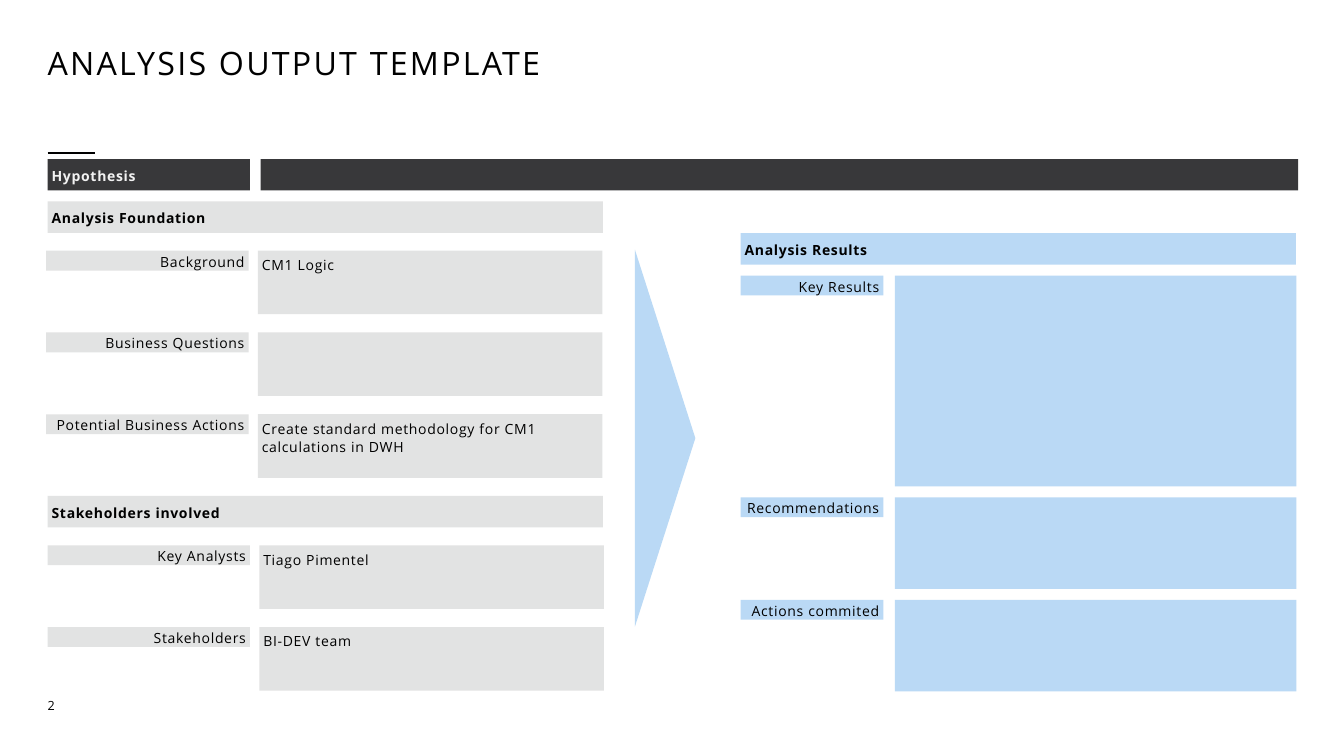
from dataclasses import dataclass

from lxml import etree
from pptx import Presentation
from pptx.dml.color import RGBColor
from pptx.enum.shapes import MSO_CONNECTOR, MSO_SHAPE
from pptx.enum.text import MSO_ANCHOR, MSO_AUTO_SIZE, PP_ALIGN
from pptx.oxml.ns import qn
from pptx.util import Pt

RECTANGLE, TRIANGLE = MSO_SHAPE.RECTANGLE, MSO_SHAPE.ISOSCELES_TRIANGLE
STRAIGHT = MSO_CONNECTOR.STRAIGHT
TOP, MIDDLE, BOTTOM = MSO_ANCHOR.TOP, MSO_ANCHOR.MIDDLE, MSO_ANCHOR.BOTTOM
LEFT, RIGHT = PP_ALIGN.LEFT, PP_ALIGN.RIGHT
NO_AUTOFIT = MSO_AUTO_SIZE.NONE


@dataclass(frozen=True)
class Theme:
    font: str = "Open Sans"
    ink: str = "000000"
    dark: str = "38383A"
    on_dark: str = "F2F2F2"
    foundation: str = "E2E3E3"
    results: str = "BAD9F5"
    title_size: float = 23
    body_size: float = 10
    number_size: float = 9


THEME = Theme()
MARGIN = 34
HEADER_HEIGHT = 22.5
LABEL_HEIGHT = 14.2
LEFT_WIDTH = 396.6
LEFT_LABEL_WIDTH = 144.6
LEFT_BOX_OFFSET = 151.2
LEFT_BOX_WIDTH = 246.2
LEFT_BOX_HEIGHT = 45.4
LEFT_PITCH = 58.4
RESULTS_LEFT = 529
RESULTS_LABEL_WIDTH = 102
RESULTS_BOX_LEFT = 639.2
RESULTS_BOX_WIDTH = 286.8
RESULTS_GAP = 7.8

FOUNDATION_ROWS = [
    ("Background", "CM1 Logic"),
    ("Business Questions", ""),
    ("Potential Business Actions",
     "Create standard methodology for CM1 calculations in DWH"),
]
STAKEHOLDER_ROWS = [
    ("Key Analysts", "Tiago Pimentel"),
    ("Stakeholders", "BI-DEV team"),
]
RESULT_ROWS = [
    ("Key Results", 150.6),
    ("Recommendations", 65.4),
    ("Actions commited", 65.4),
]


def apply_format(target, values):
    for name, value in values.items():
        setattr(target, name, value)


def write_text(frame, text, size=THEME.body_size, color=THEME.ink, bold=False,
               align=LEFT, anchor=MIDDLE, inset=2.9, spacing=1.11, tracking=50):
    margins = dict.fromkeys(
        ("margin_left", "margin_top", "margin_right", "margin_bottom"), Pt(inset))
    apply_format(frame, {**margins, "word_wrap": True, "auto_size": NO_AUTOFIT,
                         "vertical_anchor": anchor})
    paragraph = frame.paragraphs[0]
    apply_format(paragraph, {"alignment": align, "line_spacing": spacing})
    run = paragraph.add_run()
    run.text = text
    apply_format(run.font, {"name": THEME.font, "size": Pt(size), "bold": bold})
    run.font.color.rgb = RGBColor.from_string(color)
    run.font._element.set("spc", str(tracking))


def add_block(slide, left, top, width, height, fill, text="", kind=RECTANGLE, **style):
    block = slide.shapes.add_shape(kind, Pt(left), Pt(top), Pt(width), Pt(height))
    block.shadow.inherit = False
    block.fill.solid()
    block.fill.fore_color.rgb = RGBColor.from_string(fill)
    block.line.fill.background()
    if text:
        write_text(block.text_frame, text, **style)
    return block


def add_header(slide, left, top, width, fill, text="", color=THEME.ink):
    add_block(slide, left, top, width, HEADER_HEIGHT, fill, text, color=color, bold=True)


def add_label(slide, left, top, width, fill, text):
    add_block(slide, left, top, width, LABEL_HEIGHT, fill, text, align=RIGHT)


def add_title(slide, text):
    title = slide.shapes.title
    apply_format(title, {"left": Pt(MARGIN), "top": Pt(13), "width": Pt(857.5),
                         "height": Pt(45.3)})
    write_text(title.text_frame, text, size=THEME.title_size, anchor=BOTTOM,
               inset=0, spacing=0.83, tracking=160)


def add_title_rule(slide):
    rule = slide.shapes.add_connector(
        STRAIGHT, Pt(MARGIN), Pt(109.4), Pt(MARGIN + 34), Pt(109.4))
    rule.line.width = Pt(1.5)
    rule.line.color.rgb = RGBColor.from_string(THEME.ink)
    etree.SubElement(rule._element.spPr, qn("a:effectLst"))


def add_page_number(slide, number):
    box = slide.shapes.add_textbox(Pt(MARGIN), Pt(498.2), Pt(34), Pt(41.8))
    write_text(box.text_frame, number, size=THEME.number_size, anchor=TOP,
               inset=0, spacing=1, tracking=60)


def add_left_section(slide, heading, heading_top, rows, rows_left):
    add_header(slide, MARGIN, heading_top, LEFT_WIDTH, THEME.foundation, heading)
    for index, (label, content) in enumerate(rows):
        top = heading_top + 35.3 + index * LEFT_PITCH
        add_label(slide, rows_left, top, LEFT_LABEL_WIDTH, THEME.foundation, label)
        add_block(slide, rows_left + LEFT_BOX_OFFSET, top, LEFT_BOX_WIDTH,
                  LEFT_BOX_HEIGHT, THEME.foundation, content, anchor=TOP)


def add_results(slide):
    top = 166.5
    add_header(slide, RESULTS_LEFT, top, LEFT_WIDTH, THEME.results, "Analysis Results")
    top += HEADER_HEIGHT + RESULTS_GAP
    for label, height in RESULT_ROWS:
        add_label(slide, RESULTS_LEFT, top, RESULTS_LABEL_WIDTH, THEME.results, label)
        add_block(slide, RESULTS_BOX_LEFT, top, RESULTS_BOX_WIDTH, height, THEME.results)
        top += height + RESULTS_GAP


def main():
    deck = Presentation()
    apply_format(deck, {"slide_width": Pt(960), "slide_height": Pt(540)})
    slide = deck.slides.add_slide(deck.slide_layouts[5])
    add_title(slide, "ANALYSIS OUTPUT TEMPLATE")
    add_title_rule(slide)
    add_page_number(slide, "2")
    add_header(slide, MARGIN, 113.6, LEFT_LABEL_WIDTH, THEME.dark, "Hypothesis",
               THEME.on_dark)
    add_header(slide, 186.2, 113.6, 741, THEME.dark)
    add_left_section(slide, "Analysis Foundation", 143.8, FOUNDATION_ROWS, 33)
    add_left_section(slide, "Stakeholders involved", 354.2, STAKEHOLDER_ROWS, MARGIN)
    arrow = add_block(slide, 340.4, 291.4, 269.4, 43.2, THEME.results, kind=TRIANGLE)
    arrow.rotation = 90
    add_results(slide)
    deck.save("out.pptx")


if __name__ == "__main__":
    main()
